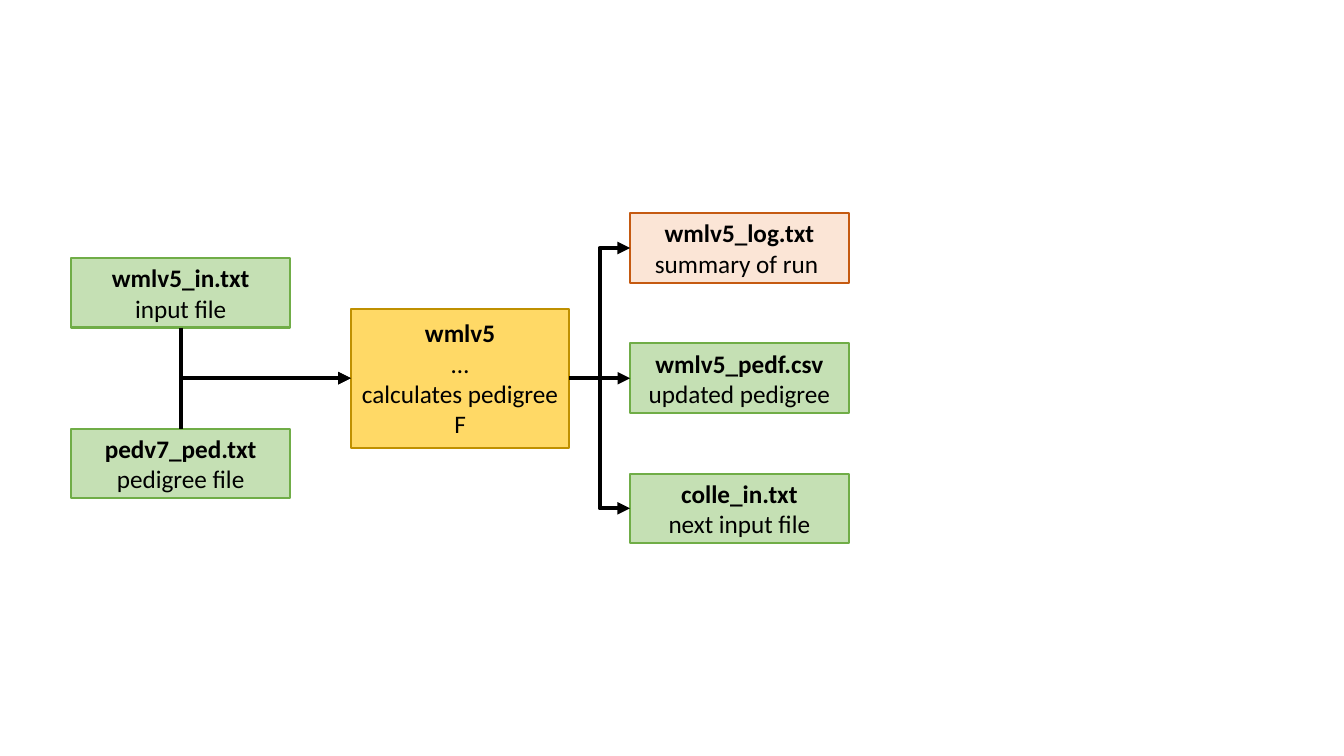
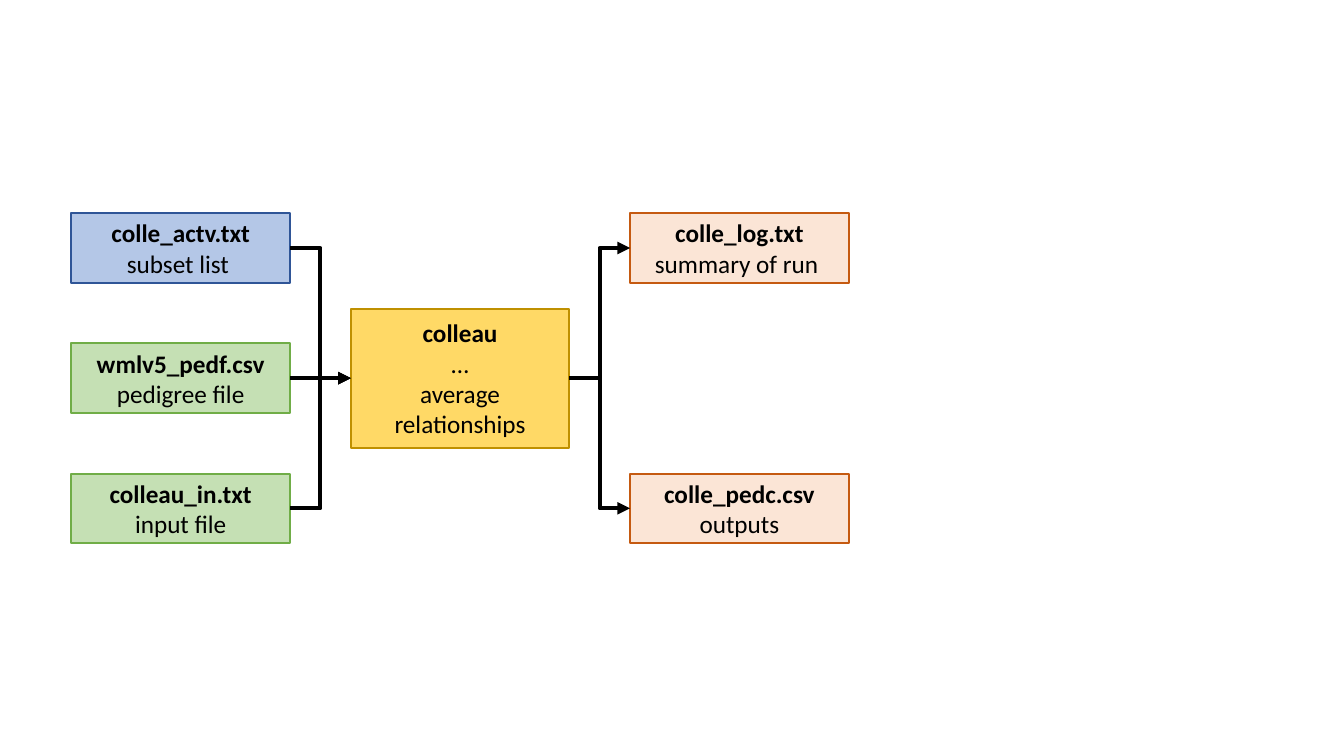
from lxml import etree
from pptx import Presentation
from pptx.dml.color import RGBColor
from pptx.enum.shapes import MSO_CONNECTOR, MSO_SHAPE
from pptx.enum.text import MSO_ANCHOR, PP_ALIGN
from pptx.oxml.ns import qn
from pptx.util import Cm, Pt

RECTANGLE = MSO_SHAPE.RECTANGLE
STRAIGHT = MSO_CONNECTOR.STRAIGHT
ELBOW = MSO_CONNECTOR.ELBOW
MIDDLE = MSO_ANCHOR.MIDDLE
CENTER = PP_ALIGN.CENTER
LEFT_SIDE, BOTTOM_SIDE, RIGHT_SIDE, TOP_SIDE = 1, 2, 3, 0

BLACK = RGBColor(0x00, 0x00, 0x00)
GREEN = (RGBColor(0xC5, 0xE0, 0xB4), RGBColor(0x70, 0xAD, 0x47))
BLUE = (RGBColor(0xB4, 0xC7, 0xE7), RGBColor(0x2F, 0x55, 0x97))
ORANGE = (RGBColor(0xFB, 0xE5, 0xD6), RGBColor(0xC5, 0x5A, 0x11))
YELLOW = (RGBColor(0xFF, 0xD9, 0x66), RGBColor(0xBF, 0x90, 0x00))

FONT = "Calibri"
BOX_WIDTH = Cm(5.51)
FILE_HEIGHT = Cm(1.75)
PROGRAM_HEIGHT = Cm(3.5)
INPUT_LEFT, PROGRAM_LEFT, OUTPUT_LEFT = Cm(1.8), Cm(8.84), Cm(15.88)
CENTER_Y = Cm(9.53)
ROW_STEP = Cm(3.28)
PAIR_OFFSET = Cm(2.15)

FLOWS = [
    {
        "program": ["wmlv5", "…", "calculates pedigree", "F"],
        "inputs": [
            (-PAIR_OFFSET, GREEN, ["wmlv5_in.txt", "input file"], BOTTOM_SIDE),
            (PAIR_OFFSET, GREEN, ["pedv7_ped.txt", "pedigree file"], TOP_SIDE),
        ],
        "outputs": [
            (-ROW_STEP, ORANGE, ["wmlv5_log.txt", "summary of run "]),
            (0, GREEN, ["wmlv5_pedf.csv", "updated pedigree"]),
            (ROW_STEP, GREEN, ["colle_in.txt", "next input file"]),
        ],
    },
    {
        "program": ["colleau", "…", "average", "relationships"],
        "inputs": [
            (-ROW_STEP, BLUE, ["colle_actv.txt", "subset list "], RIGHT_SIDE),
            (0, GREEN, ["wmlv5_pedf.csv", "pedigree file"], RIGHT_SIDE),
            (ROW_STEP, GREEN, ["colleau_in.txt", "input file"], RIGHT_SIDE),
        ],
        "outputs": [
            (-ROW_STEP, ORANGE, ["colle_log.txt", "summary of run "]),
            (ROW_STEP, ORANGE, ["colle_pedc.csv", "outputs"]),
        ],
    },
]


def add_box(slide, left, offset, height, colors, lines):
    top = CENTER_Y + offset - height // 2
    shape = slide.shapes.add_shape(RECTANGLE, left, top, BOX_WIDTH, height)
    shape.shadow.inherit = False
    shape.fill.solid()
    shape.fill.fore_color.rgb, shape.line.color.rgb = colors
    shape.line.width = Pt(1.5)
    frame = shape.text_frame
    frame.word_wrap = True
    frame.vertical_anchor = MIDDLE
    frame.text = "\n".join(lines)
    for index, paragraph in enumerate(frame.paragraphs):
        paragraph.alignment = CENTER
        paragraph.font.name = FONT
        paragraph.font.size = Pt(18)
        paragraph.font.bold = index == 0
        paragraph.font.color.rgb = BLACK
    return shape


def add_arrow(slide, source, target, offset, side=RIGHT_SIDE):
    kind = ELBOW if offset else STRAIGHT
    connector = slide.shapes.add_connector(kind, 0, 0, 0, 0)
    connector.begin_connect(source, side)
    connector.end_connect(target, LEFT_SIDE)
    connector.line.color.rgb = BLACK
    connector.line.width = Pt(3)
    properties = connector._element.spPr
    line = connector.line._get_or_add_ln()
    etree.SubElement(line, qn("a:tailEnd"), type="triangle")
    etree.SubElement(properties, qn("a:effectLst"))
    if side in (TOP_SIDE, BOTTOM_SIDE):
        middle_x = connector.left + connector.width // 2
        middle_y = connector.top + connector.height // 2
        connector.width, connector.height = connector.height, connector.width
        connector.left = middle_x - connector.width // 2
        connector.top = middle_y - connector.height // 2
        transform = properties.find(qn("a:xfrm"))
        transform.set("rot", "5400000" if side == TOP_SIDE else "16200000")
        transform.set("flipH", "1")
        properties.find(qn("a:prstGeom")).set("prst", "bentConnector2")


presentation = Presentation()
presentation.slide_width = Cm(33.87)
presentation.slide_height = Cm(19.05)
blank_layout = presentation.slide_layouts[6]

for flow in FLOWS:
    slide = presentation.slides.add_slide(blank_layout)
    program = add_box(slide, PROGRAM_LEFT, 0, PROGRAM_HEIGHT, YELLOW, flow["program"])
    for offset, colors, lines, side in flow["inputs"]:
        input_file = add_box(slide, INPUT_LEFT, offset, FILE_HEIGHT, colors, lines)
        add_arrow(slide, input_file, program, offset, side)
    for offset, colors, lines in flow["outputs"]:
        output_file = add_box(slide, OUTPUT_LEFT, offset, FILE_HEIGHT, colors, lines)
        add_arrow(slide, program, output_file, offset)

presentation.save("out.pptx")
